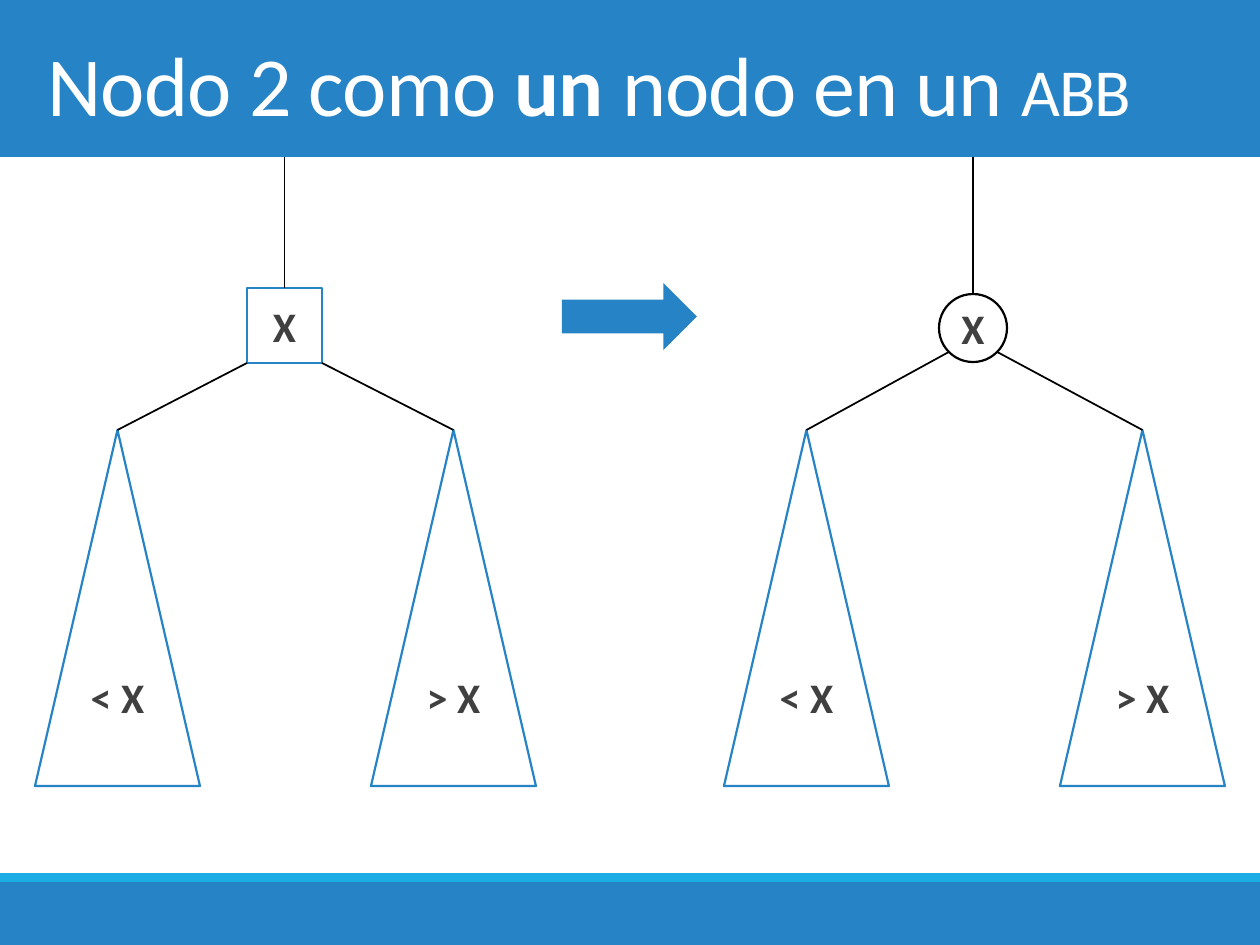
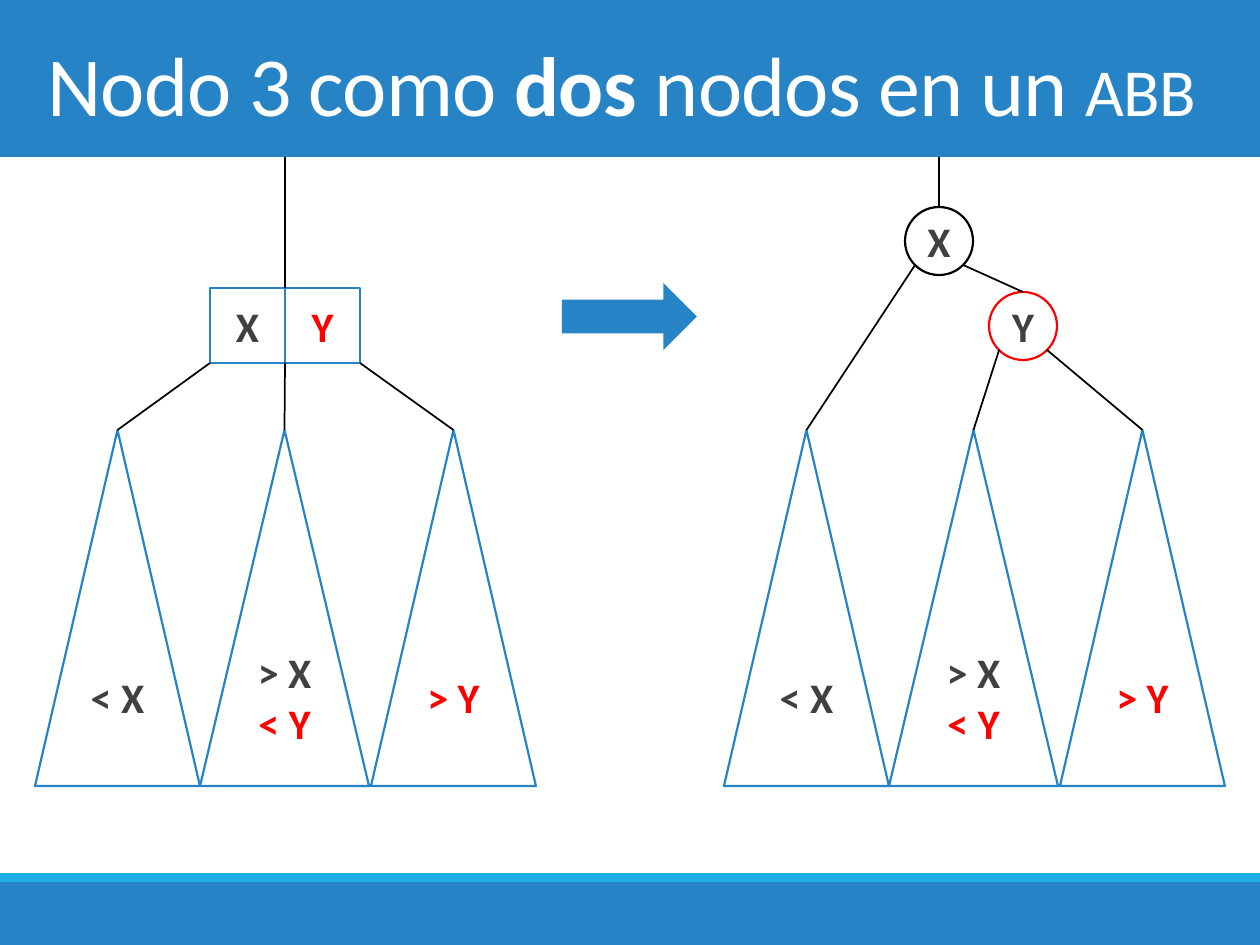
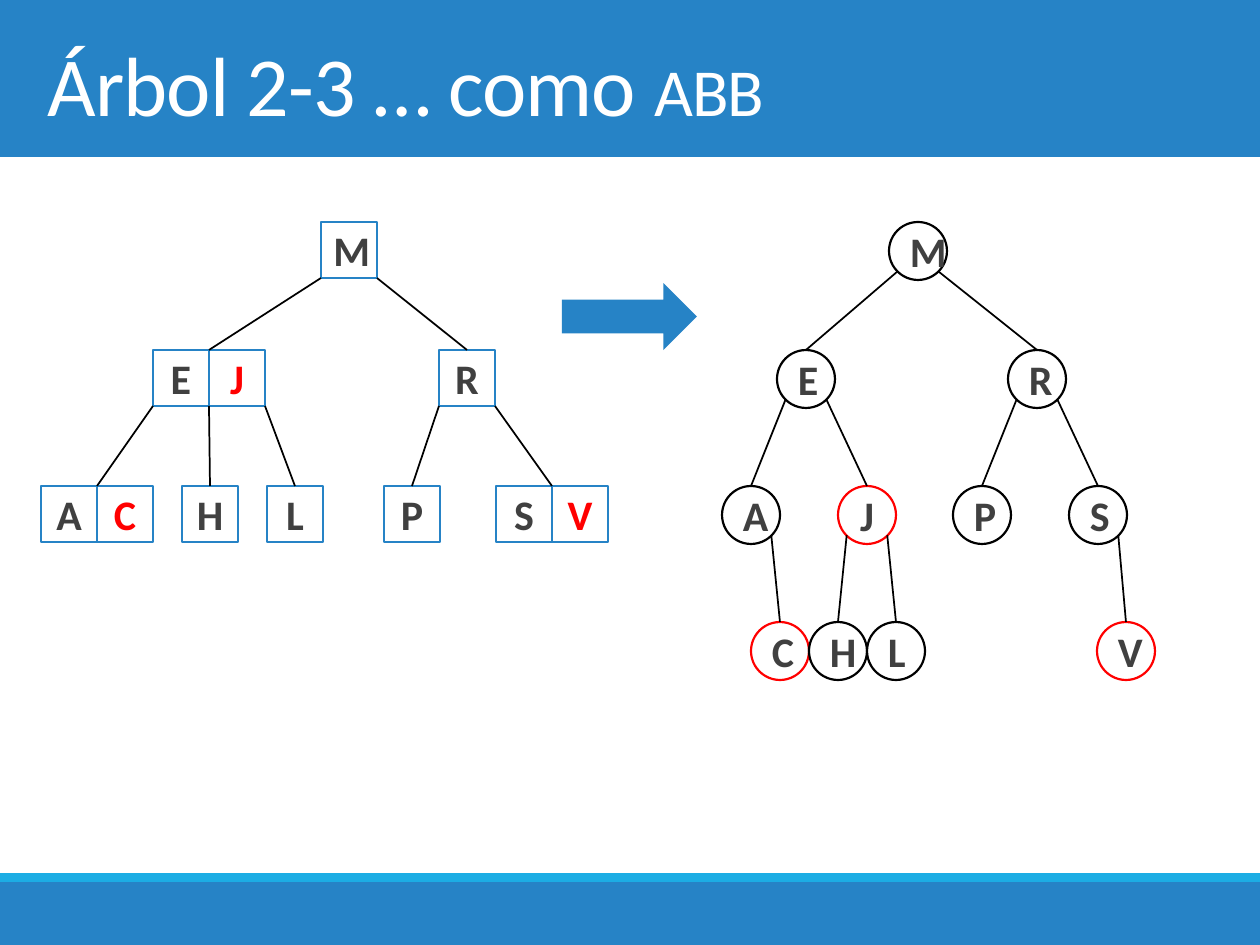
from lxml.etree import SubElement
from pptx import Presentation
from pptx.dml.color import RGBColor as RGB
from pptx.enum.shapes import MSO_CONNECTOR as LINK, MSO_SHAPE as SHAPE
from pptx.enum.text import MSO_ANCHOR as ANCHOR, MSO_AUTO_SIZE as AUTO, PP_ALIGN as ALIGN
from pptx.oxml.ns import qn
from pptx.util import Pt

BLUE = RGB(0x26, 0x83, 0xC6)
CYAN = RGB(0x1C, 0xAD, 0xE4)
WHITE = RGB(0xFF, 0xFF, 0xFF)
BLACK = RGB(0x00, 0x00, 0x00)
GRAY = RGB(0x40, 0x40, 0x40)
RED = RGB(0xFF, 0x00, 0x00)
PX = 914400 / 126
HEAD = 157  # height of the title band
SUB_TOP, SUB_HIGH = 430, 356
SHIFT = 689  # from the left tree to the right one
SQUARE, CIRCLE = SHAPE.RECTANGLE, SHAPE.OVAL


def write(par, text, size=24, ink=GRAY, bold=True, **attrs):
    """Add a run; attrs go to its properties as XML attributes."""
    run = par.add_run()
    run.text = text
    font = run.font
    font.name, font.size, font.bold = "Calibri", Pt(size), bold
    font.color.rgb = ink
    for key, val in attrs.items():
        run._r.rPr.set(key, val)


def draw(slide, kind, box, fill=WHITE, edge=None, runs=()):
    """Add a shape whose runs are (text, ink) pairs."""
    shape = slide.shapes.add_shape(kind, *[round(n * PX) for n in box])
    shape.shadow.inherit = False
    shape.fill.solid()
    shape.fill.fore_color.rgb = fill
    if edge is None:
        shape.line.fill.background()
    else:
        shape.line.color.rgb = edge
        shape.line.width = Pt(1.25)
    par = shape.text_frame.paragraphs[0]
    par.alignment = ALIGN.CENTER
    for text, ink in runs:
        write(par, text, ink=ink)
    return shape


# Subtrees: left, width, texts
two = [(35, 165, ["< X"]), (371, 165, ["> X"])]
three = [(35, 165, ["< X"]), (200, 169, ["> X ", "< Y"]), (371, 165, ["> Y"])]

# Trees: node shape, size, nodes (name, left, top), subtrees, subtree shift,
# links (parent, 0 left or 1 right, child name or subtree number)
decks = [
    ([("Nodo 2 como ", False), ("un", True), (" nodo en un ", False)], [
        (SQUARE, 75, [("X", 247, 288)], two, 0, [("X", 0, 0), ("X", 1, 1)]),
        (CIRCLE, 68, [("X", 939, 294)], two, SHIFT, [("X", 0, 0), ("X", 1, 1)]),
    ]),
    ([("Nodo 3 como ", False), ("dos", True), (" nodos en un ", False)], [
        (SQUARE, 75, [("X", 210, 288), ("Y", 285, 288)], three, 0,
         [("X", 0, 0), ("X", 1, 1), ("Y", 1, 2)]),
        (CIRCLE, 68, [("X", 905, 207), ("Y", 989, 292)], three, SHIFT,
         [("X", 0, 0), ("X", 1, "Y"), ("Y", 0, 1), ("Y", 1, 2)]),
    ]),
    ([("Árbol 2-3 … como ", False)], [
        (SQUARE, 56,
         [("M", 321, 222), ("E", 153, 350), ("J", 209, 350), ("R", 439, 350),
          ("A", 41, 486), ("C", 97, 486), ("H", 182, 486), ("L", 267, 486),
          ("P", 384, 486), ("S", 496, 486), ("V", 552, 486)], [], 0,
         [("M", 0, "E"), ("M", 1, "R"), ("E", 0, "A"), ("E", 1, "H"),
          ("J", 1, "L"), ("R", 0, "P"), ("R", 1, "S")]),
        (CIRCLE, 58,
         [("M", 889, 222), ("E", 777, 350), ("R", 1008, 350), ("A", 722, 486),
          ("J", 838, 486), ("P", 953, 486), ("S", 1069, 486), ("C", 751, 622),
          ("H", 809, 622), ("L", 867, 622), ("V", 1097, 622)], [], 0,
         [("M", 0, "E"), ("M", 1, "R"), ("E", 0, "A"), ("E", 1, "J"),
          ("R", 0, "P"), ("R", 1, "S"), ("A", 1, "C"), ("J", 0, "H"),
          ("J", 1, "L"), ("S", 1, "V")]),
    ]),
]

prs = Presentation()
prs.slide_width, prs.slide_height = round(1260 * PX), round(945 * PX)
layout = prs.slide_layouts[5]
name = layout.placeholders[0]
name.left, name.top = round(35 * PX), 0
name.width, name.height = round(1191 * PX), round(HEAD * PX)

for num, (title, trees) in enumerate(decks):
    slide = prs.slides.add_slide(layout)
    if num == 0:
        # The bands move to the layout, behind its title
        bands = [(0, HEAD, BLUE), (882, 63, BLUE), (873, 9, CYAN)]
        for spot, (top, high, fill) in enumerate(bands, 2):
            band = draw(slide, SQUARE, (0, top, 1260, high), fill)
            layout.shapes.element.insert(spot, band.element)

    frame = slide.shapes.title.text_frame
    frame.auto_size = AUTO.NONE
    frame.vertical_anchor = ANCHOR.MIDDLE
    frame.margin_top = round(15 * PX)
    par = frame.paragraphs[0]
    par.alignment = ALIGN.LEFT
    for text, bold in title:
        write(par, text, size=48, ink=WHITE, bold=bold, spc="-50")
    write(par, "abb", size=48, ink=WHITE, bold=False, spc="-50", cap="small")

    for kind, size, nodes, subs, shift, links in trees:
        shapes, spots = {}, {}
        for key, (left, wide, texts) in enumerate(subs):
            runs = [(text, RED if "Y" in text else GRAY) for text in texts]
            box = (left + shift, SUB_TOP, wide, SUB_HIGH)
            shapes[key] = draw(slide, SHAPE.ISOSCELES_TRIANGLE, box, edge=BLUE, runs=runs)
        for key, left, top in nodes:
            tint = key in "YJCV"
            if kind == SQUARE:
                edge, ink = BLUE, RED if tint else GRAY
            else:
                edge, ink = RED if tint else BLACK, GRAY
            box = (left, top, size, size)
            shapes[key] = draw(slide, kind, box, edge=edge, runs=[(key, ink)])
            spots[key] = left, top

        # Links leave a square at its corner and a circle at 45 degrees
        inset = 0 if kind == SQUARE else 0.15 * size
        ends = []
        for key, side, child in links:
            left, top = spots[key]
            across = size - inset if side else inset
            ends.append((left + across, top + size - inset, child))
        if subs:
            root, left, top = nodes[0]
            pair = (left + size, top) in spots.values()
            ends.append((left + (size if pair else size / 2), HEAD, root))
        for x, y, child in ends:
            a, b = round(x * PX), round(y * PX)
            line = slide.shapes.add_connector(LINK.STRAIGHT, a, b, a, b)
            left, top = spots.get(child, (0, 0))
            if (left + size, top) in spots.values() and kind == SQUARE:
                # A pair is met where its two squares touch
                line.end_x, line.end_y = round((left + size) * PX), round(top * PX)
            else:
                line.end_connect(shapes[child], 0)
            line.line.color.rgb = BLACK
            line.line.width = Pt(1)
            SubElement(line.element.spPr, qn("a:effectLst"))

    draw(slide, SHAPE.RIGHT_ARROW, (562, 283, 135, 67), BLUE)

prs.save("out.pptx")
